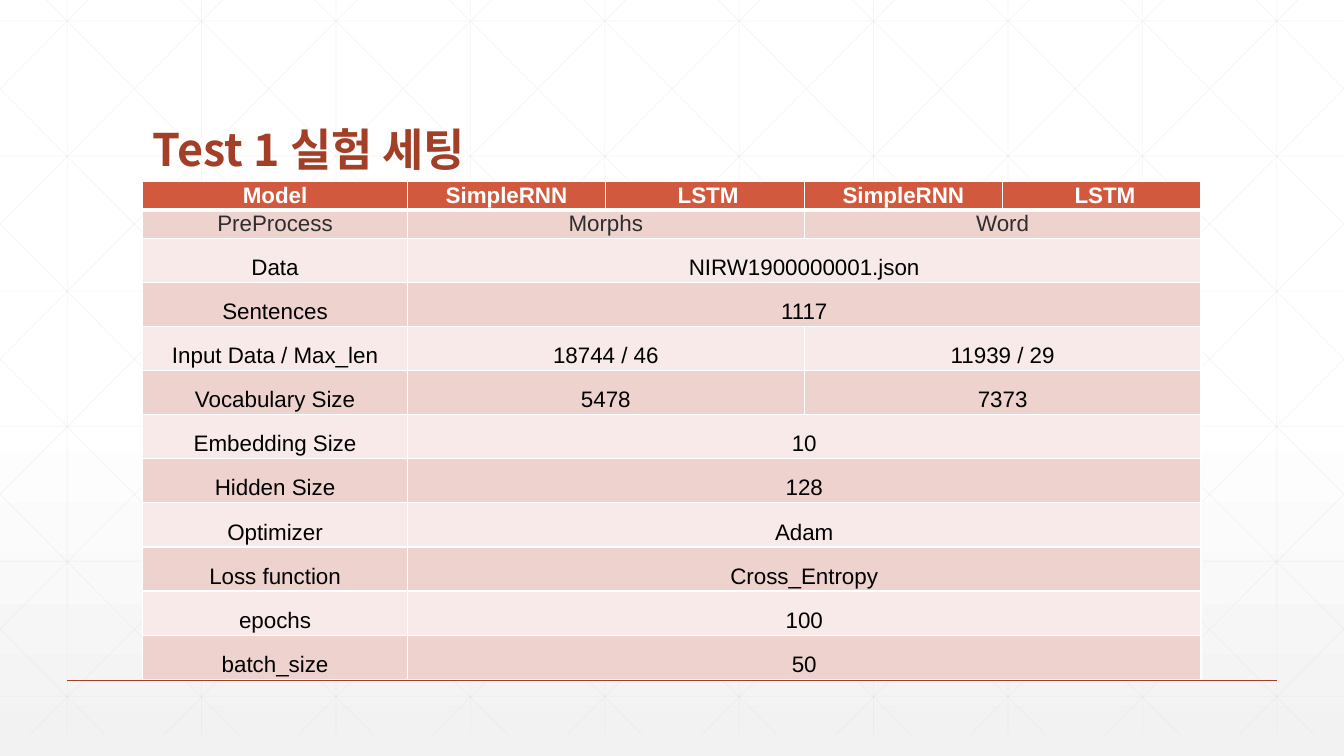
from copy import deepcopy
from lxml.etree import SubElement
from pptx import Presentation
from pptx.dml.color import RGBColor
from pptx.enum.shapes import MSO_CONNECTOR
from pptx.enum.text import MSO_ANCHOR, MSO_AUTO_SIZE, PP_ALIGN
from pptx.oxml import parse_xml
from pptx.oxml.ns import nsdecls, qn
from pptx.util import Pt

TITLE = "Test 1 실험 세팅"
SETTINGS = [
    ("Model", "SimpleRNN", " LSTM", "SimpleRNN", " LSTM"),
    ("PreProcess", "Morphs", "Word"),
    ("Data", "NIRW1900000001.json"),
    ("Sentences", "1117"),
    ("Input Data / Max_len", "18744 / 46", "11939 / 29"),
    ("Vocabulary Size", "5478", "7373"),
    ("Embedding Size", "10"),
    ("Hidden Size", "128"),
    ("Optimizer", "Adam"),
    ("Loss function", "Cross_Entropy"),
    ("epochs", "100"),
    ("batch_size", "50"),
]

PX = 9525
WIDTH, HEIGHT = 1280, 720
GRID_TOP, GRID_BOTTOM, GRID_STEP = -20, 700, 128
DIAGONAL_START, DIAGONAL_RUN = 24, 716
LEFT, TABLE_TOP, TABLE_WIDTH = 136, 173, 1008
COLUMN_WIDTHS = [252] + [189] * 4
ROW_HEIGHTS = [27] * 2 + [42] * 10

WHITE = RGBColor(0xFF, 0xFF, 0xFF)
BLACK = RGBColor(0, 0, 0)
CHARCOAL = RGBColor(0x2D, 0x2E, 0x2D)
PALE_GREY = RGBColor(0xF2, 0xF2, 0xF2)
GRID_GREY = RGBColor(0xD9, 0xD9, 0xD9)
RUST = RGBColor(0xA4, 0x3F, 0x27)
HEADER_RED = RGBColor(0xD1, 0x5A, 0x3E)
BAND_DARK = RGBColor(0xEE, 0xD2, 0xCE)
BAND_LIGHT = RGBColor(0xF7, 0xEA, 0xE8)


def set_alpha(element, percent):
    color = element.find(".//" + qn("a:srgbClr"))
    SubElement(color, qn("a:alpha"), val=str(percent * 1000))


def paint_background(page):
    fill = page.background.fill
    fill.gradient()
    fill.gradient_angle = 270
    first, last = fill.gradient_stops
    first.color.rgb, first.position = WHITE, 0
    last.color.rgb, last.position = PALE_GREY, 1
    stops = page.element.find(".//" + qn("a:gsLst"))
    set_alpha(stops[1], 65)
    middle = deepcopy(stops[0])
    middle.set("pos", "53000")
    stops.insert(1, middle)


def add_line(page, start, end, color, width, alpha=100):
    ends = [round(value * PX) for value in (*start, *end)]
    line = page.shapes.add_connector(MSO_CONNECTOR.STRAIGHT, *ends)
    line.line.color.rgb = color
    line.line.width = Pt(width)
    SubElement(line.element.spPr, qn("a:effectLst"))
    if alpha < 100:
        set_alpha(line.element.spPr, alpha)


def draw_grid(page):
    lines = []
    for column in range(10):
        x = 64 + GRID_STEP * column
        lines.append(((x, GRID_TOP), (x, GRID_BOTTOM)))
    for row in range(6):
        y = 20 + 128.64 * row
        lines.append(((0, y), (WIDTH, y)))
    slope = (GRID_BOTTOM - GRID_TOP) / DIAGONAL_RUN
    for index in range(-5, 10):
        origin = DIAGONAL_START + GRID_STEP * index
        limits = max(origin, 0), min(origin + DIAGONAL_RUN, WIDTH)
        falling = [(x, GRID_TOP + (x - origin) * slope) for x in limits]
        lines.append(falling)
        lines.append([(WIDTH - x, y) for x, y in falling])
    for start, end in lines:
        add_line(page, start, end, GRID_GREY, 0.5, 25)


def add_span(para, text, font, size, color, bold):
    span = para.add_run()
    span.text = text
    span.font.name = font
    span.font.size = Pt(size)
    span.font.bold = bold
    span.font.color.rgb = color
    SubElement(span.font._element, qn("a:ea"), typeface=font)


def place_title(page):
    title = page.shapes.title
    title.left, title.top = LEFT * PX, 53 * PX
    title.width, title.height = TABLE_WIDTH * PX, 120 * PX
    box = title.text_frame
    box.word_wrap = True
    box.auto_size = MSO_AUTO_SIZE.NONE
    box.vertical_anchor = MSO_ANCHOR.BOTTOM
    para = box.paragraphs[0]
    para.alignment = PP_ALIGN.LEFT
    para.line_spacing = 0.9
    add_span(para, TITLE, "Noto Sans CJK KR", 32, RUST, True)
    page.shapes.element.append(title.element)


def style_cell(cell, row):
    cell.fill.solid()
    cell.fill.fore_color.rgb = HEADER_RED if row == 0 else (BAND_LIGHT, BAND_DARK)[row % 2]
    cell.vertical_anchor = MSO_ANCHOR.MIDDLE
    cell.margin_left = cell.margin_right = 7 * PX
    cell.margin_top = cell.margin_bottom = PX
    properties = cell._tc.get_or_add_tcPr()
    for index, side in enumerate("LRTB"):
        thick = (row, side) in ((0, "B"), (1, "T"))
        border = parse_xml(
            f'<a:ln{side} {nsdecls("a")} w="{Pt(3 if thick else 1)}">'
            f'<a:solidFill><a:srgbClr val="{WHITE}"/></a:solidFill></a:ln{side}>')
        properties.insert(index, border)


def fill_row(table, row, texts):
    for column in range(len(COLUMN_WIDTHS)):
        style_cell(table.cell(row, column), row)
    label, *values = texts
    span_width = 4 // len(values)
    starts = [0] + [1 + span_width * index for index in range(len(values))]
    for column, text in zip(starts, texts):
        cell = table.cell(row, column)
        if column and span_width > 1:
            cell.merge(table.cell(row, column + span_width - 1))
        para = cell.text_frame.paragraphs[0]
        para.alignment = PP_ALIGN.CENTER
        if row > 1:
            para.line_spacing = 1.6
        color = (WHITE, CHARCOAL, BLACK)[min(row, 2)]
        add_span(para, text, "Arial", 16, color, row == 0)


def add_settings_table(page):
    table = page.shapes.add_table(
        len(SETTINGS), len(COLUMN_WIDTHS), LEFT * PX, TABLE_TOP * PX,
        TABLE_WIDTH * PX, sum(ROW_HEIGHTS) * PX).table
    for column, width in zip(table.columns, COLUMN_WIDTHS):
        column.width = width * PX
    for index, texts in enumerate(SETTINGS):
        table.rows[index].height = ROW_HEIGHTS[index] * PX
        fill_row(table, index, texts)


def main():
    """Build the experiment settings slide."""
    deck = Presentation()
    deck.slide_width, deck.slide_height = WIDTH * PX, HEIGHT * PX
    page = deck.slides.add_slide(deck.slide_layouts[5])
    paint_background(page)
    draw_grid(page)
    add_line(page, (64, 648), (1216, 648), RUST, 1)
    place_title(page)
    add_settings_table(page)
    deck.save("out.pptx")


if __name__ == "__main__":
    main()
